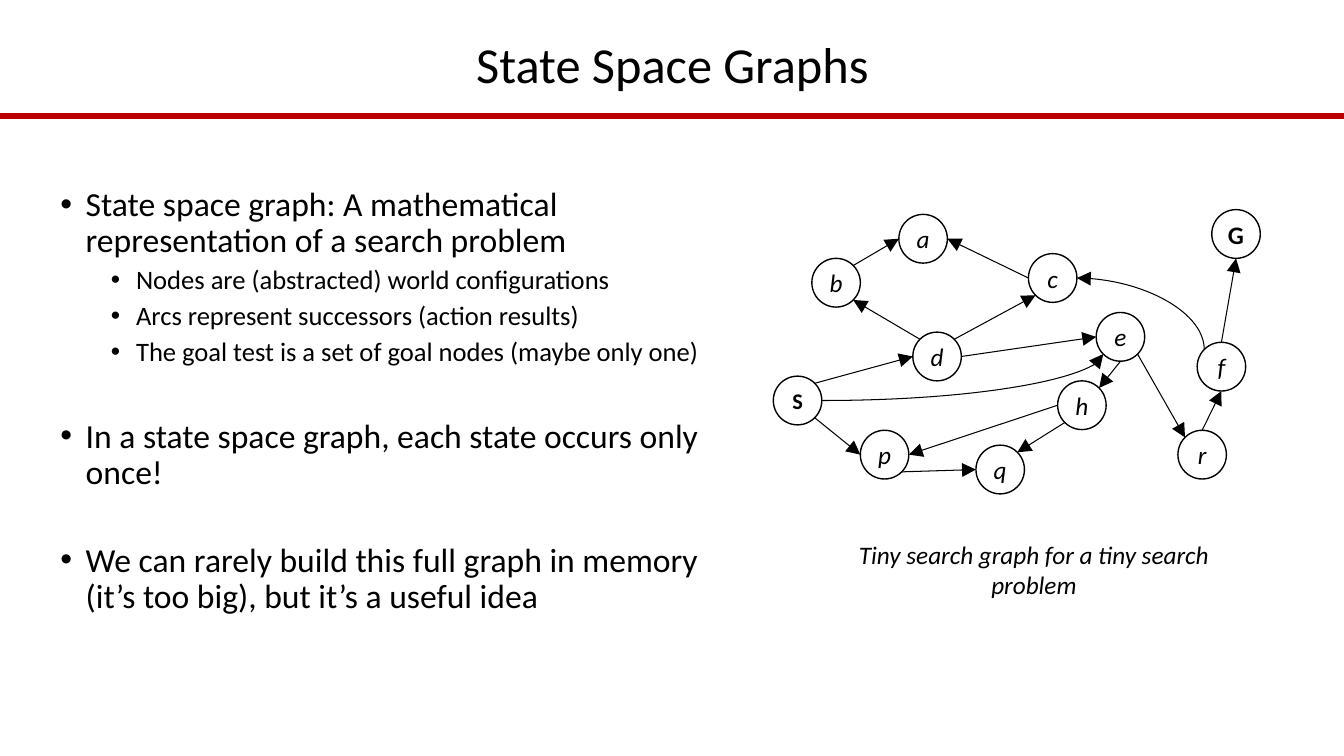
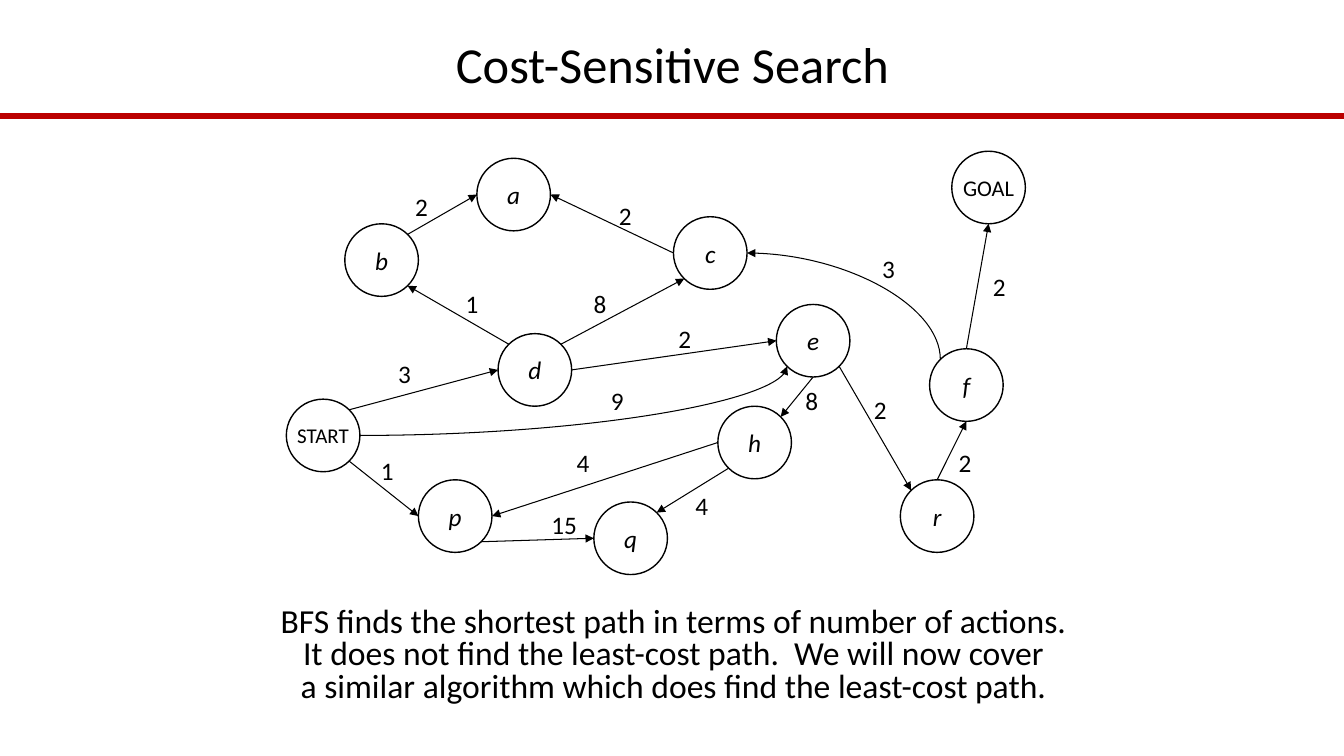
from collections import namedtuple
from math import sqrt

from lxml.etree import SubElement
from pptx import Presentation
from pptx.dml.color import RGBColor
from pptx.enum.shapes import MSO_CONNECTOR as Link, MSO_SHAPE as Shape
from pptx.enum.text import MSO_ANCHOR as Anchor, MSO_AUTO_SIZE as AutoSize, PP_ALIGN as Align
from pptx.oxml.ns import qn
from pptx.util import Inches, Pt

Box = namedtuple("Box", "left top width height")
Edge = namedtuple("Edge", "start leave goal enter cost cost_x cost_y")

FONT = "Calibri"
BLACK, RED = "000000", "BB0000"
SLIDE_WIDTH, SLIDE_HEIGHT = 13.33, 7.5
TITLE_BOX = Box(0.92, 0.34, 11.5, 0.66)
RULE_TOP = 1.15

GRAPH_WIDTH, GRAPH_HEIGHT = 7.33, 4.2
NODE_WIDTH, NODE_HEIGHT = 0.73, 0.72
NODES = {
    "S": (0, 2.46), "G": (6.6, 0), "d": (2.1, 1.81), "b": (0.58, 0.72),
    "p": (1.31, 3.26), "q": (3.05, 3.48), "c": (3.84, 0.65), "e": (4.86, 1.52),
    "h": (4.28, 2.53), "a": (1.89, 0.07), "f": (6.38, 1.96), "r": (6.09, 3.26),
}
EDGES = [
    Edge("S", "SE", "p", "W", "1", 0.84, 2.97),
    Edge("p", "SE", "q", "W", "15", 2.53, 3.5),
    Edge("h", "SW", "q", "NE", "4", 3.96, 3.32),
    Edge("h", "W", "p", "E", "4", 2.78, 2.89),
    Edge("e", "S", "h", "NE", "8", 5.05, 2.27),
    Edge("e", "SE", "r", "NW", "2", 5.73, 2.36),
    Edge("r", "N", "f", "S", "2", 6.57, 2.89),
    Edge("f", "N", "G", "S", "2", 6.91, 1.14),
    Edge("S", "NE", "d", "W", "3", 1.01, 2.01),
    Edge("d", "NW", "b", "SE", "1", 1.68, 1.31),
    Edge("b", "NE", "a", "W", "2", 1.18, 0.35),
    Edge("c", "W", "a", "E", "2", 3.2, 0.44),
    Edge("d", "NE", "c", "SW", "8", 2.95, 1.31),
    Edge("d", "E", "e", "W", "2", 3.79, 1.66),
    Edge("f", "NW", "c", "E", "3", 5.81, 0.96),
    Edge("S", "E", "e", "SW", "9", 3.12, 2.27),
]
CURVES = {("f", "c"): "vertical", ("S", "e"): "horizontal"}


def color(hex_code):
    """Turn a hex string into a colour."""
    return RGBColor.from_string(hex_code)


def inches(*lengths):
    """Convert several lengths to slide units."""
    return [Inches(length) for length in lengths]


def place(placeholder, box):
    """Move a placeholder into a box."""
    placeholder.left, placeholder.top, placeholder.width, placeholder.height = inches(*box)


def style(paragraph, size, align=Align.LEFT, bold=False, italic=False):
    """Format a whole paragraph in the deck's font."""
    paragraph.alignment = align
    font = paragraph.font
    font.name, font.size, font.bold, font.italic = FONT, Pt(size), bold, italic
    font.color.rgb = color(BLACK)


def set_bullet(paragraph, margin=0, indent=0, mark=None):
    """Set a paragraph's indents and its bullet, if any."""
    properties = paragraph._p.get_or_add_pPr()
    properties.set("marL", str(Inches(margin)))
    properties.set("indent", str(Inches(indent)))
    if mark:
        SubElement(properties, qn("a:buChar")).set("char", mark)
    else:
        SubElement(properties, qn("a:buNone"))


def add_line(slide, start, end, line_color, weight, kind=Link.STRAIGHT):
    """Draw a connector without a shadow."""
    connector = slide.shapes.add_connector(kind, *inches(*start, *end))
    connector.line.color.rgb = color(line_color)
    connector.line.width = Pt(weight)
    SubElement(connector.element.spPr, qn("a:effectLst"))
    return connector


def add_arrow(slide, start, end, head_size, curve=None):
    """Draw a straight arrow, or one that bends once after leaving its start."""
    if curve == "vertical":
        middle_x, middle_y = (start[0] + end[0]) / 2, (start[1] + end[1]) / 2
        half_x, half_y = (end[0] - start[0]) / 2, (end[1] - start[1]) / 2
        start = (middle_x - half_y, middle_y + half_x)
        end = (middle_x + half_y, middle_y - half_x)
    arrow = add_line(slide, start, end, BLACK, 0.75, Link.CURVE if curve else Link.STRAIGHT)
    properties = arrow.element.spPr
    head = SubElement(properties.get_or_add_ln(), qn("a:tailEnd"))
    for name, value in (("type", "triangle"), ("w", head_size), ("len", head_size)):
        head.set(name, value)
    if curve:
        properties.find(qn("a:prstGeom")).set("prst", "curvedConnector2")
    if curve == "vertical":
        properties.find(qn("a:xfrm")).set("rot", "5400000")


def add_text(slide, box, text, size, **look):
    """Place a wrapped line of text in a box."""
    frame = slide.shapes.add_textbox(*inches(*box)).text_frame
    frame.word_wrap = True
    frame.text = text
    style(frame.paragraphs[0], size, **look)


def add_node(slide, box, text, size, **look):
    """Draw one outlined state with its name."""
    node = slide.shapes.add_shape(Shape.FLOWCHART_CONNECTOR, *inches(*box))
    node.shadow.inherit = False
    node.fill.background()
    node.line.color.rgb = color(BLACK)
    node.line.width = Pt(1)
    frame = node.text_frame
    frame.word_wrap = False
    frame.vertical_anchor = Anchor.MIDDLE
    frame.text = text
    style(frame.paragraphs[0], size, Align.CENTER, **look)


def rim_point(box, compass):
    """Find the point of a node's rim in a compass direction."""
    across = ("E" in compass) - ("W" in compass)
    down = ("S" in compass) - ("N" in compass)
    reach = sqrt(across ** 2 + down ** 2) * 2
    return (box.left + box.width * (0.5 + across / reach),
            box.top + box.height * (0.5 + down / reach))


def add_graph(slide, area, terminals, head_size, show_costs=False):
    """Draw the search graph scaled into an area."""
    scale_x, scale_y = area.width / GRAPH_WIDTH, area.height / GRAPH_HEIGHT
    boxes = {name: Box(area.left + x * scale_x, area.top + y * scale_y,
                       NODE_WIDTH * scale_x, NODE_HEIGHT * scale_y)
             for name, (x, y) in NODES.items()}
    for name, box in boxes.items():
        look = terminals.get(name, {"text": name, "size": 18, "italic": True})
        add_node(slide, box, **look)
    for edge in EDGES:
        add_arrow(slide, rim_point(boxes[edge.start], edge.leave),
                  rim_point(boxes[edge.goal], edge.enter), head_size,
                  CURVES.get((edge.start, edge.goal)))
        if show_costs:
            cost_box = Box(area.left + edge.cost_x * scale_x, area.top + edge.cost_y * scale_y,
                           0.17 * (1 + len(edge.cost)), 0.4)
            add_text(slide, cost_box, edge.cost, 18)


def add_rule(presentation, slide):
    """Put the red rule under the title on the master."""
    rule = add_line(slide, (0, RULE_TOP), (SLIDE_WIDTH, RULE_TOP), RED, 4)
    presentation.slide_master.shapes.element.append(rule.element)


def add_titled_slide(presentation, title_text, body_box):
    """Add a slide with its title and return it with its body frame."""
    slide = presentation.slides.add_slide(presentation.slide_layouts[1])
    title, body = slide.shapes.title, slide.placeholders[1]
    place(title, TITLE_BOX)
    place(body, body_box)
    for placeholder in (title, body):
        placeholder.text_frame.auto_size = AutoSize.NONE
    title.text_frame.vertical_anchor = Anchor.MIDDLE
    title.text_frame.text = title_text
    heading = title.text_frame.paragraphs[0]
    heading.line_spacing = 0.9
    style(heading, 36, Align.CENTER)
    return slide, body.text_frame


def add_state_space_slide(presentation):
    """Build the slide that defines state space graphs."""
    slide, body = add_titled_slide(presentation, "State Space Graphs", Box(0.5, 1.81, 6.92, 4.95))
    points = [
        (0, 10, "State space graph: A mathematical representation of a search problem"),
        (1, 5, "Nodes are (abstracted) world configurations"),
        (1, 5, "Arcs represent successors (action results)"),
        (1, 5, "The goal test is a set of goal nodes (maybe only one)"),
        (0, 37, "In a state space graph, each state occurs only once!"),
        (0, 37, "We can rarely build this full graph in memory (it’s too big), but it’s a useful idea"),
    ]
    body.text = "\n".join(text for _, _, text in points)
    for paragraph, (level, gap, _) in zip(body.paragraphs, points):
        paragraph.level = level
        paragraph.line_spacing = 0.9
        paragraph.space_before = Pt(gap)
        set_bullet(paragraph, 0.25 + 0.5 * level, -0.25, "•")
        style(paragraph, 19 if level else 24)
    terminals = {"S": {"text": "S", "size": 16, "bold": True},
                 "G": {"text": "G", "size": 18, "bold": True}}
    add_graph(slide, Box(7.67, 2.08, 4.83, 2.82), terminals, "lg")
    add_text(slide, Box(8.42, 5.3, 3.67, 0.71), "Tiny search graph for a tiny search problem",
             18, align=Align.CENTER, italic=True)
    return slide


def add_cost_slide(presentation):
    """Build the slide that adds costs to the graph."""
    slide, body = add_titled_slide(presentation, "Cost-Sensitive Search",
                                   Box(0.93, 5.98, 11.5, 1.14))
    body.text = "\n".join([
        "BFS finds the shortest path in terms of number of actions.",
        "It does not find the least-cost path.  We will now cover",
        "a similar algorithm which does find the least-cost path.",
    ])
    for paragraph in body.paragraphs:
        paragraph.line_spacing = 0.8
        paragraph.space_before = Pt(0)
        set_bullet(paragraph)
        style(paragraph, 24, Align.CENTER)
    terminals = {"S": {"text": "START", "size": 15}, "G": {"text": "GOAL", "size": 16}}
    add_graph(slide, Box(2.84, 1.5, GRAPH_WIDTH, GRAPH_HEIGHT), terminals, "med", show_costs=True)


def main():
    """Build and save the deck."""
    presentation = Presentation()
    presentation.slide_width, presentation.slide_height = inches(SLIDE_WIDTH, SLIDE_HEIGHT)
    add_rule(presentation, add_state_space_slide(presentation))
    add_cost_slide(presentation)
    presentation.save("out.pptx")


if __name__ == "__main__":
    main()
